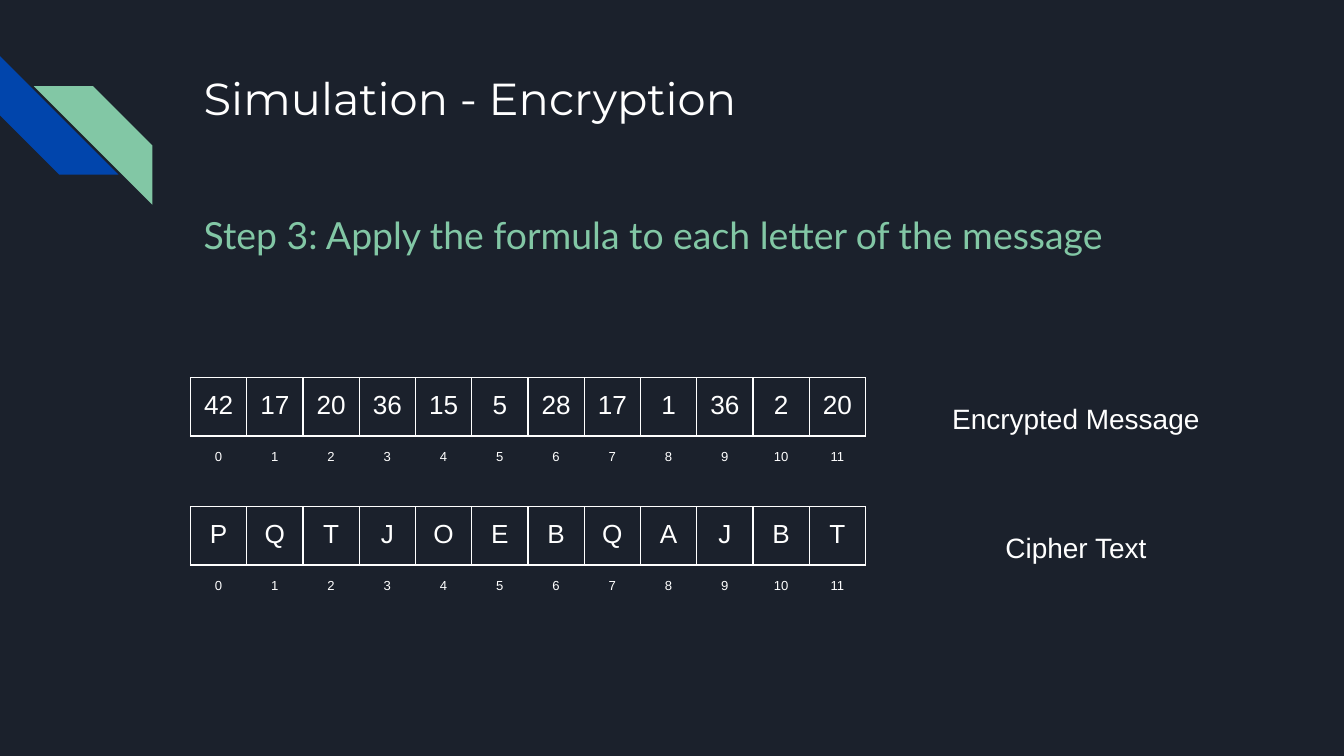
"""Build the slide that shows the encrypted message and its cipher text."""
from lxml.etree import SubElement
from pptx import Presentation
from pptx.dml.color import RGBColor
from pptx.enum.shapes import MSO_SHAPE
from pptx.enum.text import MSO_ANCHOR, MSO_AUTO_SIZE, PP_ALIGN
from pptx.oxml.ns import qn
from pptx.util import Cm, Pt

NAVY = RGBColor(0x1B, 0x21, 0x2C)
BLUE = RGBColor(0x01, 0x45, 0xAC)
GREEN = RGBColor(0x82, 0xC7, 0xA5)
WHITE = RGBColor(0xFF, 0xFF, 0xFF)

HEADING = "Simulation - Encryption"
STEP = "Step 3: Apply the formula to each letter of the message"
SEQUENCES = [
    ("Encrypted Message", [42, 17, 20, 36, 15, 5, 28, 17, 1, 36, 2, 20]),
    ("Cipher Text", list("PQTJOEBQAJBT")),
]
STRIPES = [
    (0, 1.06, BLUE, 270, "0"),
    (0.64, 1.63, GREEN, 0, "1"),
]

STRIPE_SIZE = Cm(2.24)
LEFT = Cm(3.6)
GRID_TOP, GRID_STEP, GRID_WIDTH = Cm(7.14), Cm(2.44), Cm(12.76)
ROW_HEIGHTS = (Cm(1.1), Cm(0.82))
LABEL_LEFT, LABEL_DROP = Cm(17.2), Cm(0.1)
LABEL_WIDTH, LABEL_HEIGHT = Cm(6.27), Cm(1.02)
INSET = Cm(0.25)
PLAIN_TABLE = "{2D5ABB26-0587-4C30-8999-92F81FD0307C}"

HEADING_FONT = {"name": "Montserrat", "size": Pt(24)}
STEP_FONT = {"name": "Lato", "size": Pt(20)}
LABEL_FONT = {"name": "Arial", "size": Pt(15)}
VALUE_FONT = {"name": "Arial", "size": Pt(14)}
INDEX_FONT = {"name": "Arial", "size": Pt(7)}
FRAME_FORMAT = {
    "word_wrap": True,
    "auto_size": MSO_AUTO_SIZE.NONE,
    "vertical_anchor": MSO_ANCHOR.TOP,
    **dict.fromkeys(("margin_left", "margin_top", "margin_right", "margin_bottom"), INSET),
}
CELL_FORMAT = {key: INSET for key in FRAME_FORMAT if key.startswith("margin")}
BODY_PARAGRAPH = {"line_spacing": 1.15, "space_before": Pt(0), "space_after": Pt(12)}


def apply(target, values):
    for key, value in values.items():
        setattr(target, key, value)


def write(frame, text, font, color, align, paragraph_format):
    paragraph = frame.paragraphs[0]
    properties = paragraph._p.get_or_add_pPr()
    properties.set("marL", "0")
    properties.set("indent", "0")
    SubElement(properties, qn("a:buNone"))
    apply(paragraph, {"alignment": align, **paragraph_format})
    run = paragraph.add_run()
    run.text = text
    apply(run.font, font)
    run.font.color.rgb = color


def fill_box(box, place, text, font, color, align, paragraph_format):
    apply(box, dict(zip(("left", "top", "width", "height"), place)))
    apply(box.text_frame, FRAME_FORMAT)
    write(box.text_frame, text, font, color, align, paragraph_format)


def add_border(cell, side):
    line = SubElement(cell._tc.get_or_add_tcPr(), qn(f"a:ln{side}"), w=str(Pt(0.75)))
    SubElement(SubElement(line, qn("a:solidFill")), qn("a:srgbClr"), val=str(WHITE))


def add_grid(slide, top, values):
    grid = slide.shapes.add_table(2, len(values), LEFT, top, GRID_WIDTH, sum(ROW_HEIGHTS)).table
    grid._tbl.tblPr.find(qn("a:tableStyleId")).text = PLAIN_TABLE
    apply(grid, {"first_row": False, "horz_banding": False})
    rows = [(values, VALUE_FONT, "LRTB"), (range(len(values)), INDEX_FONT, "T")]
    for row, (entries, font, sides) in enumerate(rows):
        grid.rows[row].height = ROW_HEIGHTS[row]
        for column, entry in enumerate(entries):
            cell = grid.cell(row, column)
            apply(cell, CELL_FORMAT)
            for side in sides:
                add_border(cell, side)
            cell.fill.background()
            write(cell.text_frame, str(entry), font, WHITE, PP_ALIGN.CENTER, {})


def add_stripes(slide):
    emblem = slide.shapes.add_group_shape()
    for left, top, color, rotation, flip in STRIPES:
        stripe = emblem.shapes.add_shape(
            MSO_SHAPE.DIAGONAL_STRIPE, Cm(left), Cm(top), STRIPE_SIZE, STRIPE_SIZE)
        stripe.adjustments[0] = 0.5
        stripe.rotation = rotation
        stripe._element.spPr.xfrm.set("flipH", flip)
        stripe.shadow.inherit = False
        stripe.fill.solid()
        stripe.fill.fore_color.rgb = color
        stripe.line.fill.background()


def main():
    deck = Presentation()
    apply(deck, {"slide_width": Cm(25.4), "slide_height": Cm(14.29)})
    slide = deck.slides.add_slide(deck.slide_layouts[3])
    slide.background.fill.solid()
    slide.background.fill.fore_color.rgb = NAVY
    heading, *labels = list(slide.placeholders)[:3]
    add_stripes(slide)
    fill_box(heading, (LEFT, Cm(1.09), Cm(19.56), Cm(2.54)),
             HEADING, HEADING_FONT, WHITE, PP_ALIGN.LEFT, {})
    step_place = (LEFT, Cm(3.63), Cm(18.77), Cm(1.37))
    fill_box(slide.shapes.add_textbox(*step_place), step_place,
             STEP, STEP_FONT, GREEN, PP_ALIGN.LEFT, BODY_PARAGRAPH)
    for index, (label, (caption, values)) in enumerate(zip(labels, SEQUENCES)):
        top = GRID_TOP + index * GRID_STEP
        fill_box(label, (LABEL_LEFT, top + LABEL_DROP, LABEL_WIDTH, LABEL_HEIGHT),
                 caption, LABEL_FONT, WHITE, PP_ALIGN.CENTER, BODY_PARAGRAPH)
        add_grid(slide, top, values)
    deck.save("out.pptx")


if __name__ == "__main__":
    main()
